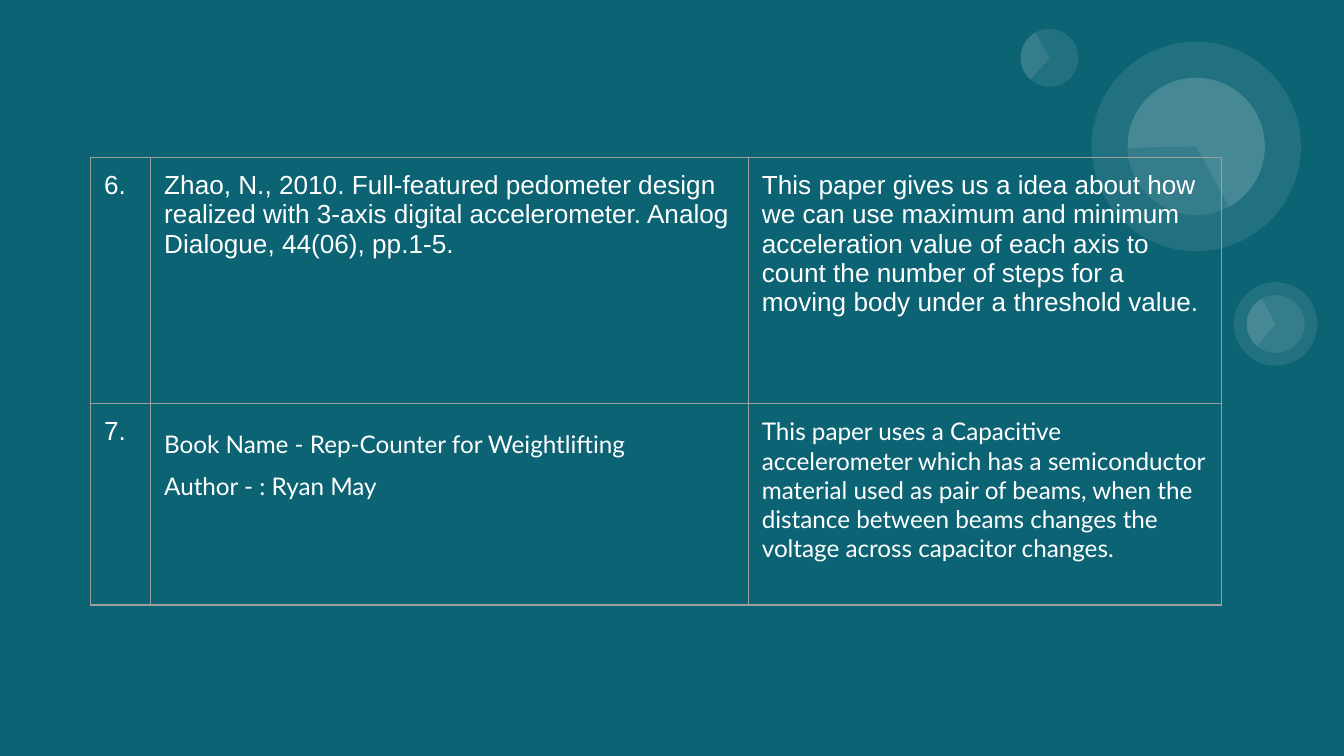
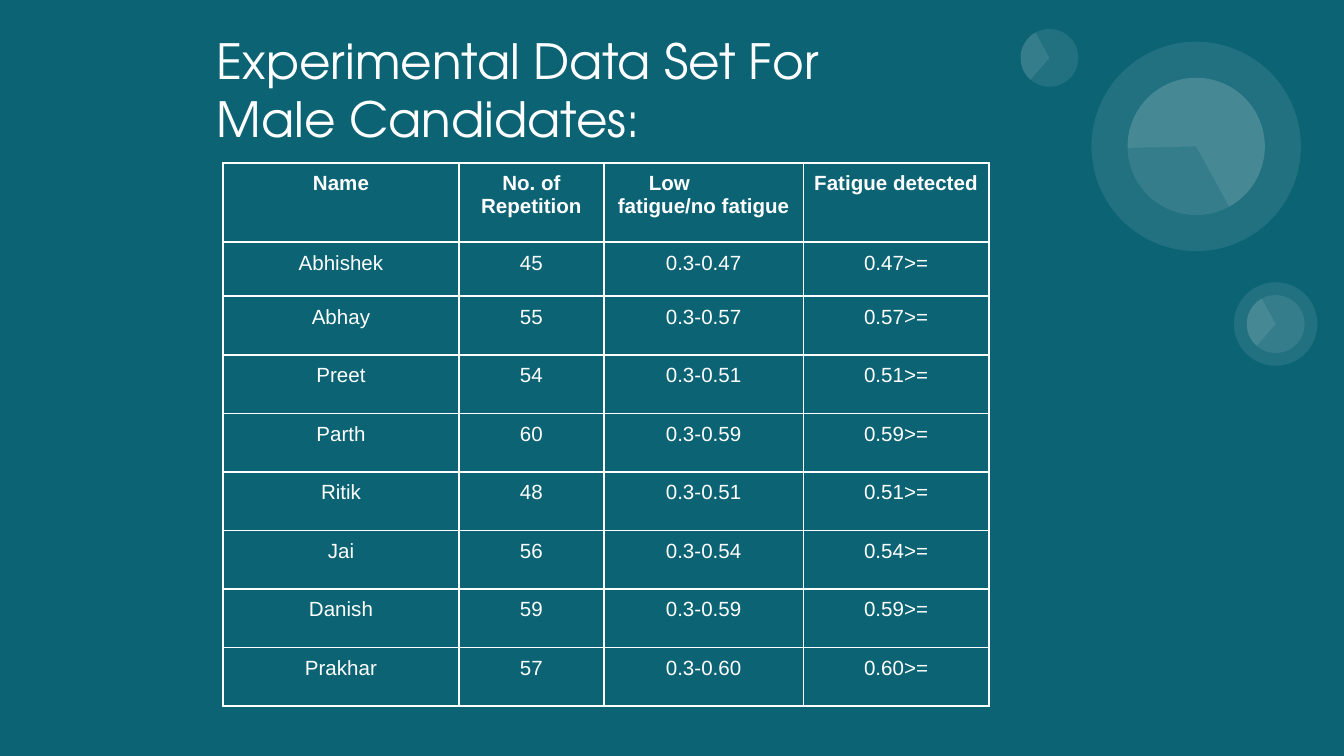
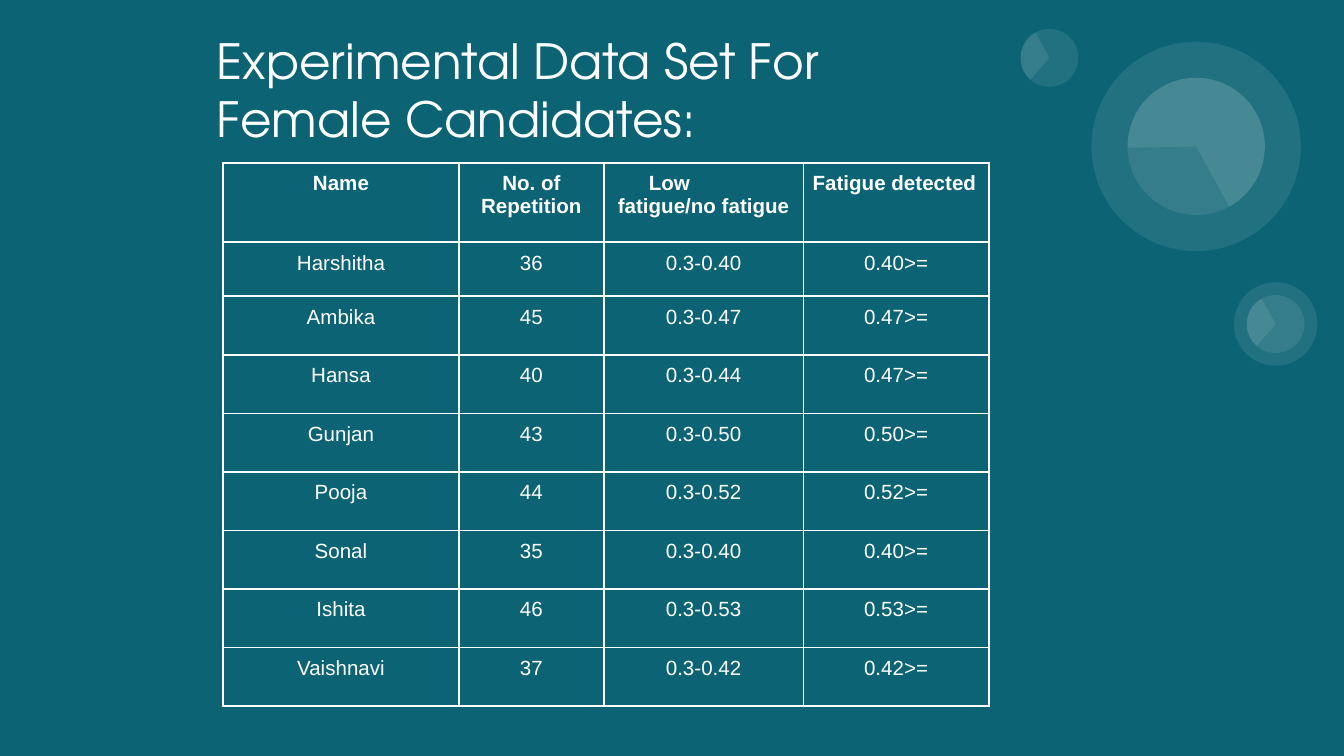
from dataclasses import dataclass

from lxml.etree import SubElement
from pptx import Presentation
from pptx.dml.color import RGBColor
from pptx.enum.shapes import MSO_SHAPE
from pptx.enum.text import MSO_ANCHOR, MSO_AUTO_SIZE, PP_ALIGN
from pptx.oxml.ns import qn
from pptx.util import Pt


@dataclass(frozen=True)
class Theme:
    back: str = "0B6374"
    ink: str = "FFFFFF"
    rule: str = "9E9E9E"
    body: str = "Arial"
    book: str = "Lato"
    head: str = "TeX Gyre Adventor"
    title: int = 26
    large: int = 14
    mid: int = 13
    small: int = 11


THEME = Theme()
LEFT, MID = PP_ALIGN.LEFT, PP_ALIGN.CENTER

# Content: papers as (font, size, line spacing, paragraphs) per cell
ARIAL = (THEME.body, THEME.large, None)
LATO = (THEME.book, THEME.mid, None)
LOOSE = (THEME.book, THEME.mid, 1.44)
PAPERS = [
    [
        (*ARIAL, ["6."]),
        (*ARIAL, ["Zhao, N., 2010. Full-featured pedometer design realized with 3-axis "
                  "digital accelerometer. Analog Dialogue, 44(06), pp.1-5."]),
        (*ARIAL, ["This paper gives us a idea about how we can use maximum and minimum "
                  "acceleration value of each axis to count the number of steps for a "
                  "moving body under a threshold value."]),
    ],
    [
        (*ARIAL, ["7."]),
        (*LOOSE, ["Book Name - Rep-Counter for Weightlifting", "Author - : Ryan May"]),
        (*LATO, ["This paper uses a Capacitive accelerometer which has a semiconductor "
                 "material used as pair of beams, when the distance between beams changes "
                 "the voltage across capacitor changes."]),
    ],
]

# Content: trials as title, alignment of the last heading, and rows of
# (name, repetitions, top of the low range, fatigue threshold)
HEADS = [["Name"], ["No. of Repetition"], ["Low", "fatigue/no fatigue"], ["Fatigue detected"]]
TRIALS = [
    ("Experimental Data Set For Male Candidates:", MID, [
        ("Abhishek", 45, "0.47", "0.47"),
        ("Abhay", 55, "0.57", "0.57"),
        ("Preet", 54, "0.51", "0.51"),
        ("Parth", 60, "0.59", "0.59"),
        ("Ritik", 48, "0.51", "0.51"),
        ("Jai", 56, "0.54", "0.54"),
        ("Danish", 59, "0.59", "0.59"),
        ("Prakhar", 57, "0.60", "0.60"),
    ]),
    ("Experimental Data Set For Female Candidates:", LEFT, [
        ("Harshitha", 36, "0.40", "0.40"),
        ("Ambika", 45, "0.47", "0.47"),
        ("Hansa", 40, "0.44", "0.47"),
        ("Gunjan", 43, "0.50", "0.50"),
        ("Pooja", 44, "0.52", "0.52"),
        ("Sonal", 35, "0.40", "0.40"),
        ("Ishita", 46, "0.53", "0.53"),
        ("Vaishnavi", 37, "0.42", "0.42"),
    ]),
]

# Bubbles: centre x, centre y, diameter, turn, pie angles (None for a full disc)
WEDGE = (57, 123.14)
BUBBLES = [
    (640.8, 78.4, 73.6, 215.9, None),
    (640.8, 78.4, 73.6, 215.9, (193.77, 123.14)),
    (640.8, 78.4, 112.2, 215.8, None),
    (683.4, 173.6, 44.8, 35.9, None),
    (683.4, 173.6, 31, 35.8, None),
    (683.4, 173.6, 31, 35.8, WEDGE),
    (562.2, 31, 31, 35.8, None),
    (562.2, 31, 31, 35.8, WEDGE),
]


def rgb(code):
    return RGBColor.from_string(code)


def style(para, font, size, bold=False):
    para.font.name, para.font.size, para.font.bold = font, Pt(size), bold
    para.font.color.rgb = rgb(THEME.ink)


# Backdrop: drawn once, then moved to the master so every slide shares it
def backdrop(deck, slide):
    master = deck.slide_master
    master.background.fill.solid()
    master.background.fill.fore_color.rgb = rgb(THEME.back)
    for num, (x, y, size, turn, arc) in enumerate(BUBBLES, 101):
        kind = MSO_SHAPE.PIE if arc else MSO_SHAPE.OVAL
        disc = slide.shapes.add_shape(
            kind, Pt(x - size / 2), Pt(y - size / 2), Pt(size), Pt(size))
        if arc:
            disc.adjustments[0], disc.adjustments[1] = arc
        disc.rotation = turn
        disc.shadow.inherit = False
        disc.line.fill.background()
        disc.fill.solid()
        disc.fill.fore_color.rgb = rgb(THEME.ink)
        tint = disc.element.spPr.find(".//" + qn("a:srgbClr"))
        SubElement(tint, qn("a:alpha"), val="9000")
        disc.element.find(".//" + qn("p:cNvPr")).set("id", str(num))
        master.shapes.element.append(disc.element)


# Tables
def border(cell, color, width):
    props = cell._tc.get_or_add_tcPr()
    for side in ("lnL", "lnR", "lnT", "lnB"):
        line = SubElement(props, qn("a:" + side), w=str(Pt(width)))
        SubElement(SubElement(line, qn("a:solidFill")), qn("a:srgbClr"), val=color)


def grid(slide, left, top, cols, rows, inset, color, width, fill=None):
    table = slide.shapes.add_table(
        len(rows), len(cols), Pt(left), Pt(top), Pt(sum(cols)), Pt(sum(rows))).table
    table.first_row = table.horz_banding = False
    for col, size in zip(table.columns, cols):
        col.width = Pt(size)
    for row, size in zip(table.rows, rows):
        row.height = Pt(size)
    for cell in table.iter_cells():
        cell.margin_left = cell.margin_right = Pt(inset)
        cell.margin_top = cell.margin_bottom = Pt(inset)
        border(cell, color, width)
        if fill:
            cell.fill.solid()
            cell.fill.fore_color.rgb = rgb(fill)
        else:
            cell.fill.background()
    return table


def write(cell, lines, font, size, bold=False, align=LEFT, space=None):
    cell.text = "\n".join(lines)
    for para in cell.text_frame.paragraphs:
        para.alignment = align
        para.line_spacing = space
        style(para, font, size, bold)


# Slides
def papers(slide):
    table = grid(slide, 48.6, 84.2, [32.2, 320.2, 253.4], [132, 108], 7.2, THEME.rule, 0.75)
    for r, row in enumerate(PAPERS):
        for c, (font, size, space, lines) in enumerate(row):
            write(table.cell(r, c), lines, font, size, space=space)


def trial(slide, name, last, rows):
    title = slide.shapes.title
    title.left, title.top, title.width, title.height = Pt(109), Pt(9.4), Pt(401), Pt(77.8)
    frame = title.text_frame
    frame.text = name
    frame.word_wrap = True
    frame.auto_size = MSO_AUTO_SIZE.SHAPE_TO_FIT_TEXT
    frame.vertical_anchor = MSO_ANCHOR.TOP
    frame.margin_left = frame.margin_right = Pt(7.2)
    frame.margin_top = frame.margin_bottom = Pt(7.2)
    frame.paragraphs[0].alignment = LEFT
    style(frame.paragraphs[0], THEME.head, THEME.title)

    tall = [42.5, 28.9] + [31.38] * (len(rows) - 1)
    table = grid(slide, 119.6, 87.3, [126.2, 77.8, 106.8, 99.4], tall, 5,
                 THEME.ink, 1, THEME.back)
    for c, lines in enumerate(HEADS):
        align = last if c == len(HEADS) - 1 else MID
        write(table.cell(0, c), lines, THEME.body, THEME.small, True, align)
    # "Low" stands left of the centre, above its second line
    low = table.cell(0, 2).text_frame.paragraphs[0]
    low.alignment = LEFT
    low._p.get_or_add_pPr().set("marL", str(Pt(19)))
    for r, (who, reps, top, limit) in enumerate(rows, 1):
        for c, text in enumerate((who, str(reps), f"0.3-{top}", f"{limit}>=")):
            write(table.cell(r, c), [text], THEME.body, THEME.small, align=MID)


def main():
    deck = Presentation()
    deck.slide_width, deck.slide_height = Pt(720), Pt(405)
    only, blank = deck.slide_layouts[5], deck.slide_layouts[6]
    first = deck.slides.add_slide(blank)
    backdrop(deck, first)
    papers(first)
    for name, last, rows in TRIALS:
        trial(deck.slides.add_slide(only), name, last, rows)
    deck.save("out.pptx")


if __name__ == "__main__":
    main()
